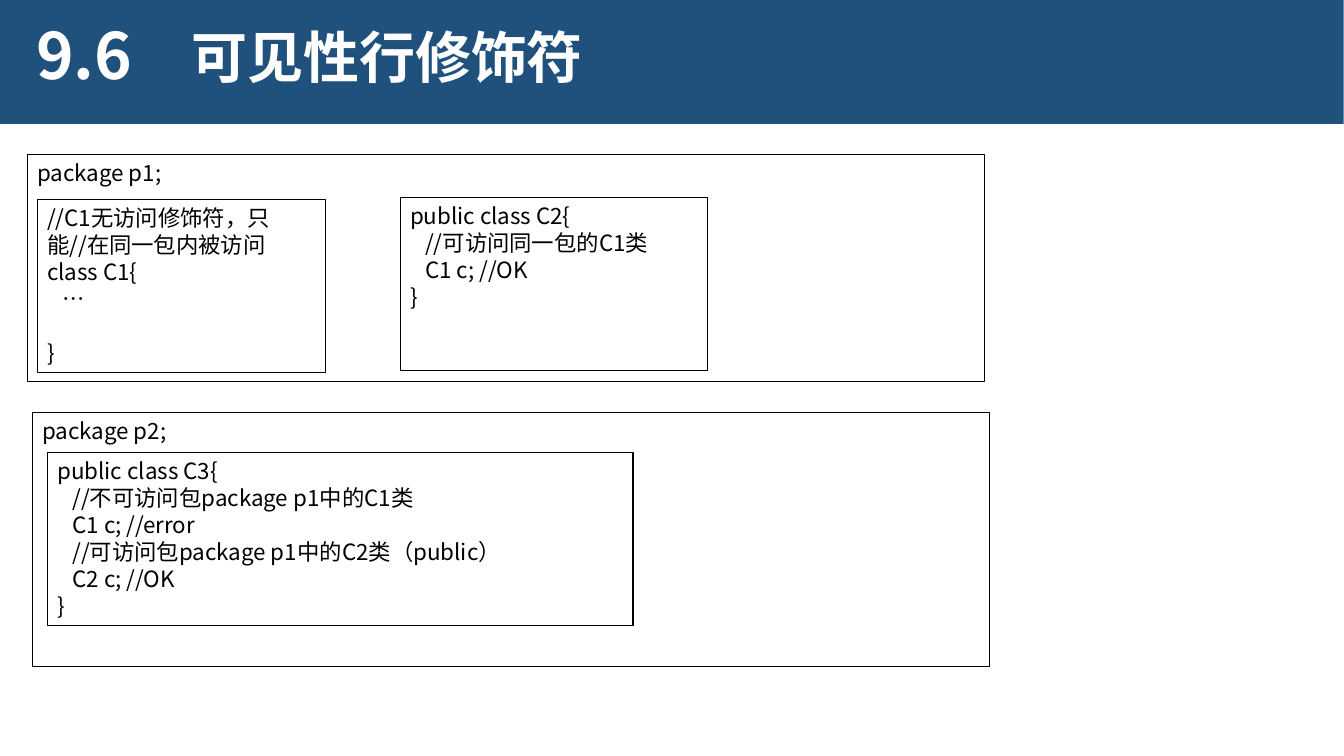
from lxml.etree import SubElement
from pptx import Presentation
from pptx.dml.color import RGBColor
from pptx.enum.shapes import MSO_SHAPE
from pptx.enum.text import MSO_ANCHOR, PP_ALIGN
from pptx.oxml.ns import qn
from pptx.util import Inches, Pt

COLORS = {"banner": "20517C", "title": "FFFFFF", "ink": "000000"}
FONT = "Noto Sans CJK SC"
CELL = 0.1  # grid column width and row height in inches
INDENT = 1.5  # code indent in columns


def grid(n):
    return Inches(n * CELL)


def color(name):
    return RGBColor.from_string(COLORS[name])


def write(p, text, size=16, ink="ink", bold=False, indent=0, before=0, spacing=None):
    """Put one formatted run into a paragraph."""
    p.alignment = PP_ALIGN.LEFT
    p.space_before = Pt(before)
    if spacing:
        p.line_spacing = spacing
    if indent:
        pPr = p._p.get_or_add_pPr()
        pPr.set("marL", str(grid(indent)))
        pPr.set("indent", "0")
    r = p.add_run()
    r.text = text
    r.font.name, r.font.size, r.font.bold = FONT, Pt(size), bold
    r.font.color.rgb = color(ink)
    SubElement(r._r.get_or_add_rPr(), qn("a:ea"), typeface=FONT)


class Deck:
    def __init__(self, columns, rows):
        self.prs = Presentation()
        self.prs.slide_width, self.prs.slide_height = grid(columns), grid(rows)
        self.s = self.prs.slides.add_slide(self.prs.slide_layouts[6])

    def rect(self, *box, fill=None, line=None):
        sp = self.s.shapes.add_shape(MSO_SHAPE.RECTANGLE, *map(grid, box))
        sp.shadow.inherit = False
        if fill:
            sp.fill.solid()
            sp.fill.fore_color.rgb = color(fill)
        else:
            sp.fill.background()
        if line:
            sp.line.color.rgb = color(line)
            sp.line.width = Pt(0.75)
        else:
            sp.line.fill.background()
        return sp

    def heading(self, *box, text, size):
        tf = self.s.shapes.add_textbox(*map(grid, box)).text_frame
        tf.word_wrap = True
        write(tf.paragraphs[0], text, size=size, ink="title", bold=True, spacing=0.9)

    def code(self, *box, lines):
        """Outlined box; each line is a text or a (text, format) pair."""
        tf = self.rect(*box, line="ink").text_frame
        tf.word_wrap = True
        tf.vertical_anchor = MSO_ANCHOR.TOP
        for i, line in enumerate(lines):
            text, style = (line, {}) if isinstance(line, str) else line
            p = tf.add_paragraph() if i else tf.paragraphs[0]
            write(p, text, **style)


def inner(text):
    return text, {"indent": INDENT}


def main():
    deck = Deck(133.33, 75)

    # Title banner
    deck.rect(-0.3, 0, 133.6, 12.3, fill="banner")
    deck.heading(2.6, 1.9, 13.7, 9.1, text="9.6", size=45.6)
    deck.heading(18, 2.5, 112.3, 5.4, text="可见性行修饰符", size=40)

    # Package p1 with classes C1 and C2
    deck.code(2.7, 15.3, 95, 22.6, lines=["package p1;"])
    deck.code(3.7, 19.8, 28.6, 17.2, lines=[
        "//C1无访问修饰符，只能//在同一包内被访问",
        "class C1{",
        inner("…"),
        ("}", {"before": 19.5}),
    ])
    deck.code(39.7, 19.6, 30.5, 17.2, lines=[
        "public class C2{",
        inner("//可访问同一包的C1类"),
        inner("C1 c; //OK"),
        "}",
    ])

    # Package p2 with class C3
    deck.code(3.2, 40.9, 95, 25.2, lines=["package p2;"])
    deck.code(4.7, 44.9, 58.1, 17.2, lines=[
        "public class C3{",
        inner("//不可访问包package p1中的C1类"),
        inner("C1 c; //error"),
        inner("//可访问包package p1中的C2类（public）"),
        inner("C2 c; //OK"),
        "}",
    ])

    deck.prs.save("out.pptx")


if __name__ == "__main__":
    main()
